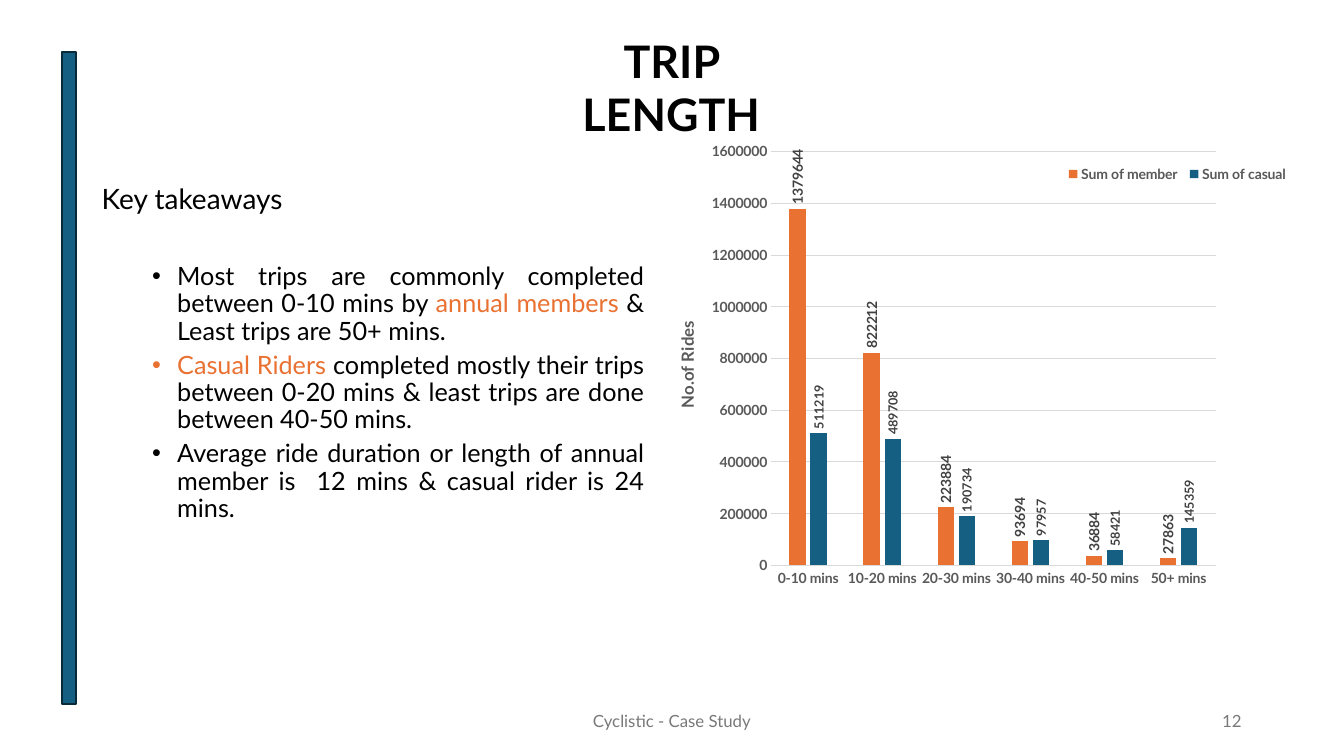
from collections import namedtuple
from dataclasses import dataclass

from lxml.etree import SubElement
from pptx import Presentation
from pptx.chart.data import CategoryChartData
from pptx.dml.color import RGBColor
from pptx.enum.chart import XL_CHART_TYPE, XL_LABEL_POSITION, XL_LEGEND_POSITION, XL_TICK_MARK
from pptx.enum.shapes import MSO_SHAPE
from pptx.enum.text import MSO_ANCHOR, PP_ALIGN
from pptx.oxml import parse_xml
from pptx.oxml.ns import nsdecls, qn
from pptx.util import Pt


@dataclass(frozen=True)
class Theme:
    font: str = "Lato"
    text: str = "000000"
    footer: str = "797979"
    axis: str = "595959"
    label: str = "404040"
    grid: str = "D9D9D9"
    member: str = "E97132"
    casual: str = "156082"
    bar_outline: str = "092A39"
    title_size: int = 32
    heading_size: int = 20
    body_size: int = 18
    footer_size: int = 12
    axis_title_size: int = 12
    chart_size: int = 10
    casual_label_size: int = 9


THEME = Theme()
Box = namedtuple("Box", "left top width height")

BULLETS = [
    [("Most trips are commonly completed between 0-10 mins by ", THEME.text),
     ("annual members ", THEME.member),
     ("& Least trips are 50+ mins.", THEME.text)],
    [("Casual Riders ", THEME.member),
     ("completed mostly their trips between 0-20 mins & least trips are done "
      "between 40-50 mins.", THEME.text)],
    [("Average ride duration or length of annual member is  12 mins & casual "
      "rider is 24 mins.", THEME.text)],
]
DURATIONS = ["0-10 mins", "10-20 mins", "20-30 mins", "30-40 mins", "40-50 mins", "50+ mins"]
RIDES = [
    ("Sum of member", [1379644, 822212, 223884, 93694, 36884, 27863],
     THEME.member, THEME.chart_size),
    ("Sum of casual", [511219, 489708, 190734, 97957, 58421, 145359],
     THEME.casual, THEME.casual_label_size),
]


def style_font(font, size, color, bold=False):
    font.name = THEME.font
    font.size = Pt(size)
    font.bold = bold
    font.color.rgb = RGBColor.from_string(color)


def add_text_frame(slide, box, anchor=MSO_ANCHOR.TOP):
    text_frame = slide.shapes.add_textbox(*map(Pt, box)).text_frame
    text_frame.word_wrap = True
    text_frame.vertical_anchor = anchor
    return text_frame


def add_line(slide, box, text, size, color, alignment, bold=False, anchor=MSO_ANCHOR.MIDDLE):
    text_frame = add_text_frame(slide, box, anchor)
    text_frame.text = text
    paragraph = text_frame.paragraphs[0]
    paragraph.alignment = alignment
    style_font(paragraph.runs[0].font, size, color, bold)


def add_side_bar(slide, box):
    shape = slide.shapes.add_shape(MSO_SHAPE.RECTANGLE, *map(Pt, box))
    shape.shadow.inherit = False
    shape.fill.solid()
    shape.fill.fore_color.rgb = RGBColor.from_string(THEME.casual)
    shape.line.color.rgb = RGBColor.from_string(THEME.bar_outline)
    shape.line.width = Pt(1.5)


def add_takeaways(slide, box):
    text_frame = add_text_frame(slide, box)
    heading = text_frame.paragraphs[0]
    heading.text = "Key takeaways"
    heading.line_spacing = 0.9
    style_font(heading.runs[0].font, THEME.heading_size, THEME.text)
    for index, pieces in enumerate(BULLETS):
        paragraph = text_frame.add_paragraph()
        paragraph.level = 1
        paragraph.alignment = PP_ALIGN.JUSTIFY
        paragraph.line_spacing = 0.9
        paragraph.space_before = Pt(5 if index else 34.4)
        properties = paragraph._p.get_or_add_pPr()
        properties.set("marL", str(Pt(54)))
        properties.set("indent", str(-Pt(18)))
        SubElement(properties, qn("a:buFont"), typeface="Arial")
        SubElement(properties, qn("a:buChar"), char="•")
        for text, color in pieces:
            run = paragraph.add_run()
            run.text = text
            style_font(run.font, THEME.body_size, color)


def set_layout(element, position, x, y, width, height, target=""):
    for layout in element.findall(qn("c:layout")):
        element.remove(layout)
    element.insert(position, parse_xml(
        f'<c:layout {nsdecls("c")}><c:manualLayout>{target}'
        '<c:xMode val="edge"/><c:yMode val="edge"/>'
        f'<c:x val="{x}"/><c:y val="{y}"/><c:w val="{width}"/><c:h val="{height}"/>'
        '</c:manualLayout></c:layout>'))


def style_axes(chart):
    category_axis, value_axis = chart.category_axis, chart.value_axis
    for axis in (category_axis, value_axis):
        axis.major_tick_mark = axis.minor_tick_mark = XL_TICK_MARK.NONE
        style_font(axis.tick_labels.font, THEME.chart_size, THEME.axis, True)
    value_axis.minimum_scale, value_axis.maximum_scale = 0, 1600000
    value_axis.major_unit = 200000
    value_axis.format.line.fill.background()
    for line in (category_axis.format.line, value_axis.major_gridlines.format.line):
        line.color.rgb = RGBColor.from_string(THEME.grid)
        line.width = Pt(0.75)
    title_frame = value_axis.axis_title.text_frame
    title_frame.text = "No.of Rides"
    title_frame._txBody.bodyPr.set("rot", "-5400000")
    title_frame._txBody.bodyPr.set("vert", "horz")
    style_font(title_frame.paragraphs[0].runs[0].font, THEME.axis_title_size, THEME.axis, True)


def add_rides_chart(slide, box):
    chart_data = CategoryChartData()
    chart_data.categories = DURATIONS
    for name, values, color, label_size in RIDES:
        chart_data.add_series(name, values)
    chart = slide.shapes.add_chart(
        XL_CHART_TYPE.COLUMN_CLUSTERED, *map(Pt, box), chart_data).chart
    chart.has_title = False
    style_font(chart.font, THEME.chart_size, THEME.text)
    style_axes(chart)
    plot = chart.plots[0]
    plot.vary_by_categories = False
    plot.gap_width, plot.overlap = 219, -27
    for series, (name, values, color, label_size) in zip(plot.series, RIDES):
        series.format.fill.solid()
        series.format.fill.fore_color.rgb = RGBColor.from_string(color)
        labels = series.data_labels
        labels.show_value = True
        labels.position = XL_LABEL_POSITION.OUTSIDE_END
        style_font(labels.font, label_size, THEME.label, True)
        body = labels._element.find(qn("c:txPr")).find(qn("a:bodyPr"))
        body.set("rot", "-5400000")
        body.set("vert", "horz")
    chart.has_legend = True
    chart.legend.position = XL_LEGEND_POSITION.RIGHT
    chart.legend.include_in_layout = True
    style_font(chart.legend.font, THEME.chart_size, THEME.axis, True)
    set_layout(chart.legend._element, 1, 0.62, 0.05, 0.37, 0.06)
    set_layout(chart._chartSpace.chart.plotArea, 0, 0.158, 0.034, 0.708, 0.85,
               '<c:layoutTarget val="inner"/>')


def build_trip_length_slide(presentation, box):
    slide = presentation.slides.add_slide(presentation.slide_layouts[6])
    left, top, width, height = box
    add_line(slide, Box(left + 375.8, top + 20.2, 207.4, 46), "TRIP LENGTH",
             THEME.title_size, THEME.text, PP_ALIGN.CENTER, True, MSO_ANCHOR.TOP)
    add_side_bar(slide, Box(left + 44, top + 36.9, 10.4, 466))
    footer_top = top + height - 39.6
    add_line(slide, Box(left + 318, footer_top, 324, 28.8), "Cyclistic - Case Study",
             THEME.footer_size, THEME.footer, PP_ALIGN.CENTER)
    add_line(slide, Box(left + width - 282, footer_top, 216, 28.8), "12",
             THEME.footer_size, THEME.footer, PP_ALIGN.RIGHT)
    add_rides_chart(slide, Box(left + 480, top + 96.5, 448.5, 347.8))
    add_takeaways(slide, Box(left + 65.5, top + 128.9, 401.8, 254.9))


def main():
    presentation = Presentation()
    presentation.slide_width, presentation.slide_height = Pt(960), Pt(540)
    build_trip_length_slide(presentation, Box(0, 0, 960, 540))
    presentation.save("out.pptx")


if __name__ == "__main__":
    main()
